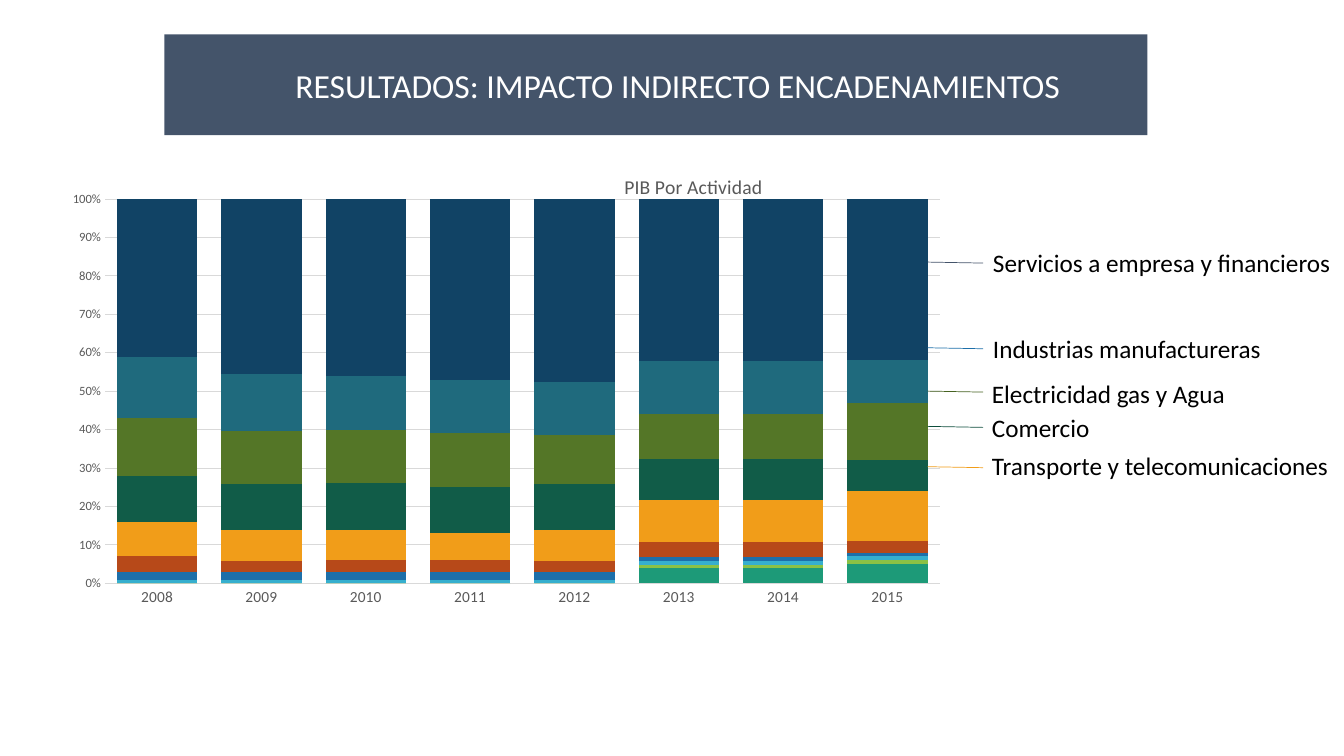
"""Build the slide on indirect impact: a stacked chart of GDP by activity with callouts."""
from lxml import etree
from pptx import Presentation
from pptx.chart.data import CategoryChartData
from pptx.dml.color import RGBColor
from pptx.enum import chart as charts, shapes, text
from pptx.oxml import ns
from pptx.util import Inches, Pt

COLORS = {"band": "44546A", "white": "FFFFFF", "black": "000000", "gray": "595959", "grid": "D9D9D9"}
FONT = "Calibri"
YEARS = [str(year) for year in range(2008, 2016)]
SERIES = [
    ("1D9A78", [0, 0, 0, 0, 0, 4, 4, 5]),
    ("8BC145", [0, 0, 0, 0, 0, 1, 1, 1]),
    ("36AFCE", [1, 1, 1, 1, 1, 1, 1, 1]),
    ("1D6FA9", [2, 2, 2, 2, 2, 1, 1, 1]),
    ("B74919", [4, 3, 3, 3, 3, 4, 4, 3]),
    ("F19D19", [9, 8, 8, 7, 8, 11, 11, 13]),
    ("115C48", [12, 12, 12, 12, 12, 11, 11, 8]),
    ("547627", [15, 14, 14, 14, 13, 12, 12, 15]),
    ("1F6A7D", [16, 15, 14, 14, 14, 14, 14, 11]),
    ("114365", [41, 46, 46, 47, 48, 43, 43, 42]),
]
CALLOUTS = [
    ("Servicios a empresa y financieros", 9.75, 2.4, 3.59, 2.6, "44546A"),
    ("Industrias manufactureras", 9.75, 3.26, 2.89, 3.45, "1D6FA9"),
    ("Electricidad gas y Agua", 9.74, 3.7, 2.54, 3.88, "466221"),
    ("Comercio", 9.74, 4.04, 1.18, 4.23, "0E4D3C"),
    ("Transporte y telecomunicaciones", 9.74, 4.42, 3.57, 4.63, "F19D19"),
]


def set_font(font, size, color):
    font.name = FONT
    font.size = Pt(size)
    font.bold = False
    font.color.rgb = RGBColor.from_string(color)


def set_layout(parent, index, **values):
    for old in parent.findall(ns.qn("c:layout")):
        parent.remove(old)
    layout = etree.Element(ns.qn("c:layout"))
    manual = etree.SubElement(layout, ns.qn("c:manualLayout"))
    for tag, value in values.items():
        etree.SubElement(manual, ns.qn("c:" + tag)).set("val", str(value))
    parent.insert(index, layout)


deck = Presentation()
deck.slide_width, deck.slide_height = Inches(13.33), Inches(7.5)
page = deck.slides.add_slide(deck.slide_layouts[5])

title = page.shapes.title
title.left, title.top, title.width, title.height = Inches(1.63), Inches(0.34), Inches(9.75), Inches(1)
title.fill.solid()
title.fill.fore_color.rgb = RGBColor.from_string(COLORS["band"])
frame = title.text_frame
frame.text = "RESULTADOS: IMPACTO INDIRECTO ENCADENAMIENTOS"
frame.auto_size = text.MSO_AUTO_SIZE.NONE
frame.vertical_anchor = text.MSO_ANCHOR.MIDDLE
frame.margin_left, frame.margin_right = Inches(1.3), Inches(0.3)
frame.paragraphs[0].alignment = text.PP_ALIGN.LEFT
set_font(frame.paragraphs[0].font, 24, COLORS["white"])

data = CategoryChartData()
data.categories = YEARS
for number, (color, values) in enumerate(SERIES, 1):
    data.add_series(f"Series {number}", values)
chart = page.shapes.add_chart(
    charts.XL_CHART_TYPE.COLUMN_STACKED_100,
    Inches(0.55), Inches(1.46), Inches(12.6), Inches(5.48), data).chart
set_font(chart.font, 10, COLORS["black"])
chart.has_legend = False
chart.has_title = True
heading = chart.chart_title
heading.include_in_layout = False
heading.text_frame.text = "PIB Por Actividad"
set_font(heading.text_frame.paragraphs[0].font, 14, COLORS["gray"])
set_layout(heading._element, 1, xMode="edge", yMode="edge", x=0.445, y=0.04)
set_layout(chart._chartSpace.chart.plotArea, 0, layoutTarget="inner",
           xMode="edge", yMode="edge", x=0.039, y=0.094, w=0.657, h=0.696)

plot = chart.plots[0]
plot.gap_width, plot.overlap = 30, 100
for series, (color, values) in zip(plot.series, SERIES):
    series.format.fill.solid()
    series.format.fill.fore_color.rgb = RGBColor.from_string(color)

for axis, size in ((chart.category_axis, 11), (chart.value_axis, 9)):
    axis.major_tick_mark = axis.minor_tick_mark = charts.XL_TICK_MARK.NONE
    set_font(axis.tick_labels.font, size, COLORS["gray"])
chart.value_axis.tick_labels.number_format = "0%"
chart.value_axis.tick_labels.number_format_is_linked = False
chart.value_axis.format.line.fill.background()
for line in (chart.category_axis.format.line, chart.value_axis.major_gridlines.format.line):
    line.color.rgb = RGBColor.from_string(COLORS["grid"])
    line.width = Pt(0.75)

for label, left, top, width, line_top, color in CALLOUTS:
    box = page.shapes.add_textbox(Inches(left), Inches(top), Inches(width), Inches(0.4))
    box.text_frame.word_wrap = False
    box.text_frame.text = label
    set_font(box.text_frame.paragraphs[0].font, 18, COLORS["black"])
    leader = page.shapes.add_connector(
        shapes.MSO_CONNECTOR.STRAIGHT,
        Inches(9.2), Inches(line_top), Inches(9.75), Inches(line_top + 0.01))
    leader.line.color.rgb = RGBColor.from_string(color)
    leader.line.width = Pt(0.5)
    etree.SubElement(leader._element.spPr, ns.qn("a:effectLst"))

deck.save("out.pptx")
